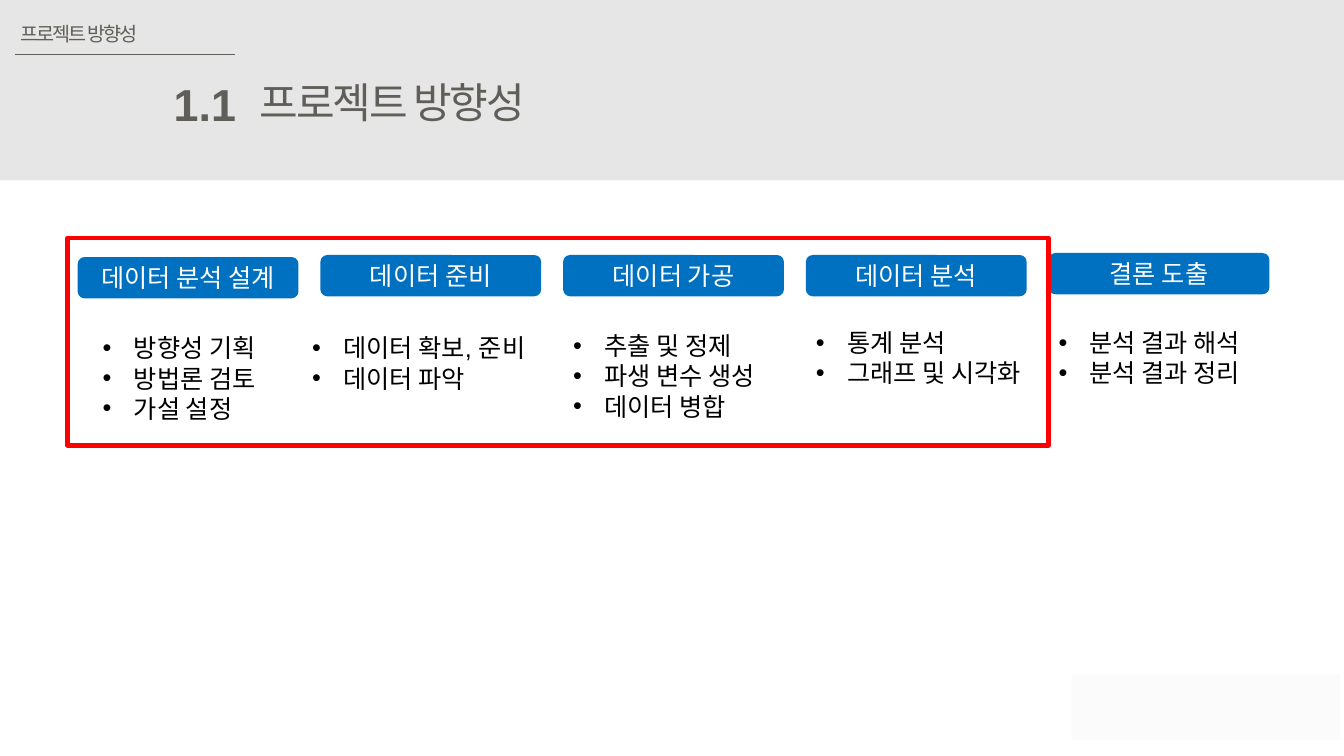
from lxml import etree
from pptx import Presentation
from pptx.dml.color import RGBColor
from pptx.enum.shapes import MSO_CONNECTOR, MSO_SHAPE
from pptx.enum.text import MSO_ANCHOR, MSO_AUTO_SIZE, PP_ALIGN
from pptx.oxml.ns import qn
from pptx.util import Inches, Pt

RECT, ROUND = MSO_SHAPE.RECTANGLE, MSO_SHAPE.ROUNDED_RECTANGLE
LINE = MSO_CONNECTOR.STRAIGHT
LEFT, MID, RIGHT = PP_ALIGN.LEFT, PP_ALIGN.CENTER, PP_ALIGN.RIGHT
GROW, CENTER = MSO_AUTO_SIZE.SHAPE_TO_FIT_TEXT, MSO_ANCHOR.MIDDLE
WIDE, HIGH = 13.33, 7.5
INDENT = 0.31
COLORS = {"band": "E7E6E6", "head": "5F5E58", "foot": "FBFBFB", "step": "0070C0",
          "white": "FFFFFF", "text": "000000", "frame": "FF0000"}
SANS, KOREAN = "Arial", "Noto Sans CJK KR"
FORMATS = {
    "crumb": {"size": Pt(14), "name": SANS},
    "number": {"size": Pt(32), "name": SANS, "bold": True},
    "title": {"size": Pt(30), "name": KOREAN},
    "body": {"size": Pt(18), "name": SANS},
}
STEPS = [
    ("데이터 분석 설계", 0.04, ["방향성 기획", "방법론 검토", "가설 설정"], (0.15, 0.74, 1.89)),
    ("데이터 준비", 0.02, ["데이터 확보, 준비", "데이터 파악"], (-0.18, 0.74, 2.54)),
    ("데이터 가공", 0.02, ["추출 및 정제", "파생 변수 생성", "데이터 병합"], (0, 0.72, 2.19)),
    ("데이터 분석", 0.02, ["통계 분석", "그래프 및 시각화"], (0, 0.69, 2.41)),
    ("결론 도출", 0, ["분석 결과 해석", "분석 결과 정리"], (0, 0.69, 2.19)),
]


def color(key):
    """Return the named colour."""
    return RGBColor.from_string(COLORS[key])


def write(par, words, style, ink, align=LEFT, space=None):
    """Write one formatted run into a paragraph."""
    par.alignment = align
    run = par.add_run()
    run.text = words
    for key, value in FORMATS[style].items():
        setattr(run.font, key, value)
    run.font.color.rgb = color(ink)
    props = run.font._element
    if space:
        props.set("spc", str(space))
    if FORMATS[style]["name"] == KOREAN:
        etree.SubElement(props, qn("a:ea")).set("typeface", KOREAN)


def block(slide, box, fill=None, kind=RECT, edge=None):
    """Add a flat shape with an optional fill and edge."""
    shape = slide.shapes.add_shape(kind, *map(Inches, box))
    shape.shadow.inherit = False
    if fill:
        shape.fill.solid()
        shape.fill.fore_color.rgb = color(fill)
    else:
        shape.fill.background()
    if edge:
        shape.line.color.rgb = color(edge)
        shape.line.width = Pt(3)
    else:
        shape.line.fill.background()
    return shape


def label(slide, box, wrap=False):
    """Add a text box that grows and return its frame."""
    frame = slide.shapes.add_textbox(*map(Inches, box)).text_frame
    frame.word_wrap = wrap
    frame.auto_size = GROW
    return frame


def rule(slide, left, right, top):
    """Add a thin level line."""
    line = slide.shapes.add_connector(LINE, *map(Inches, (left, top, right, top)))
    line.line.color.rgb = color("head")
    line.line.width = Pt(0.5)
    etree.SubElement(line._element.spPr, qn("a:effectLst"))


def header(slide, box):
    """Draw the band with its crumb, number and title."""
    x, y, _, _ = box
    block(slide, box, "band")
    rule(slide, x + 0.15, x + 2.33, y + 0.54)
    parts = [
        ("프로젝트 방향성", "crumb", (0.11, 0.17, 1.46, 0.34), LEFT, -150),
        ("1.1", "number", (1.62, 0.71, 0.82, 0.64), RIGHT, None),
        ("프로젝트 방향성", "title", (2.48, 0.71, 3.13, 0.61), LEFT, -150),
    ]
    for words, style, (dx, dy, w, h), align, space in parts:
        frame = label(slide, (x + dx, y + dy, w, h))
        write(frame.paragraphs[0], words, style, "head", align, space)


def bullets(slide, box, items):
    """Add a bulleted list."""
    frame = label(slide, box, True)
    for i, item in enumerate(items):
        par = frame.add_paragraph() if i else frame.paragraphs[0]
        write(par, item, "body", "text")
        props = par._p.get_or_add_pPr()
        props.set("marL", str(Inches(INDENT)))
        props.set("indent", str(-Inches(INDENT)))
        etree.SubElement(props, qn("a:buFont")).set("typeface", SANS)
        etree.SubElement(props, qn("a:buChar")).set("char", "•")


def process(slide, box):
    """Draw the steps in equal columns, then the frame around the first four."""
    x, y, w, h = box
    tab = 2.19
    pitch = (w - tab) / (len(STEPS) - 1)
    for i, (name, drop, items, (dx, dy, wide)) in enumerate(STEPS):
        left = x + i * pitch
        frame = block(slide, (left, y + drop, tab, 0.41), "step", ROUND).text_frame
        frame.vertical_anchor = CENTER
        frame.word_wrap = True
        write(frame.paragraphs[0], name, "body", "white", MID)
        bullets(slide, (left + dx, y + dy, wide, 0.11 + 0.3 * len(items)), items)
    block(slide, (x - 0.1, y - 0.15, 4 * pitch + 0.1, h), edge="frame")


def main():
    """Build and save the slide."""
    deck = Presentation()
    deck.slide_width, deck.slide_height = Inches(WIDE), Inches(HIGH)
    slide = deck.slides.add_slide(deck.slide_layouts[6])
    header(slide, (0, 0, WIDE, 1.79))
    block(slide, (10.63, 6.69, 2.66, 0.65), "foot")
    process(slide, (0.77, 2.51, 11.82, 2.06))
    deck.save("out.pptx")


if __name__ == "__main__":
    main()
